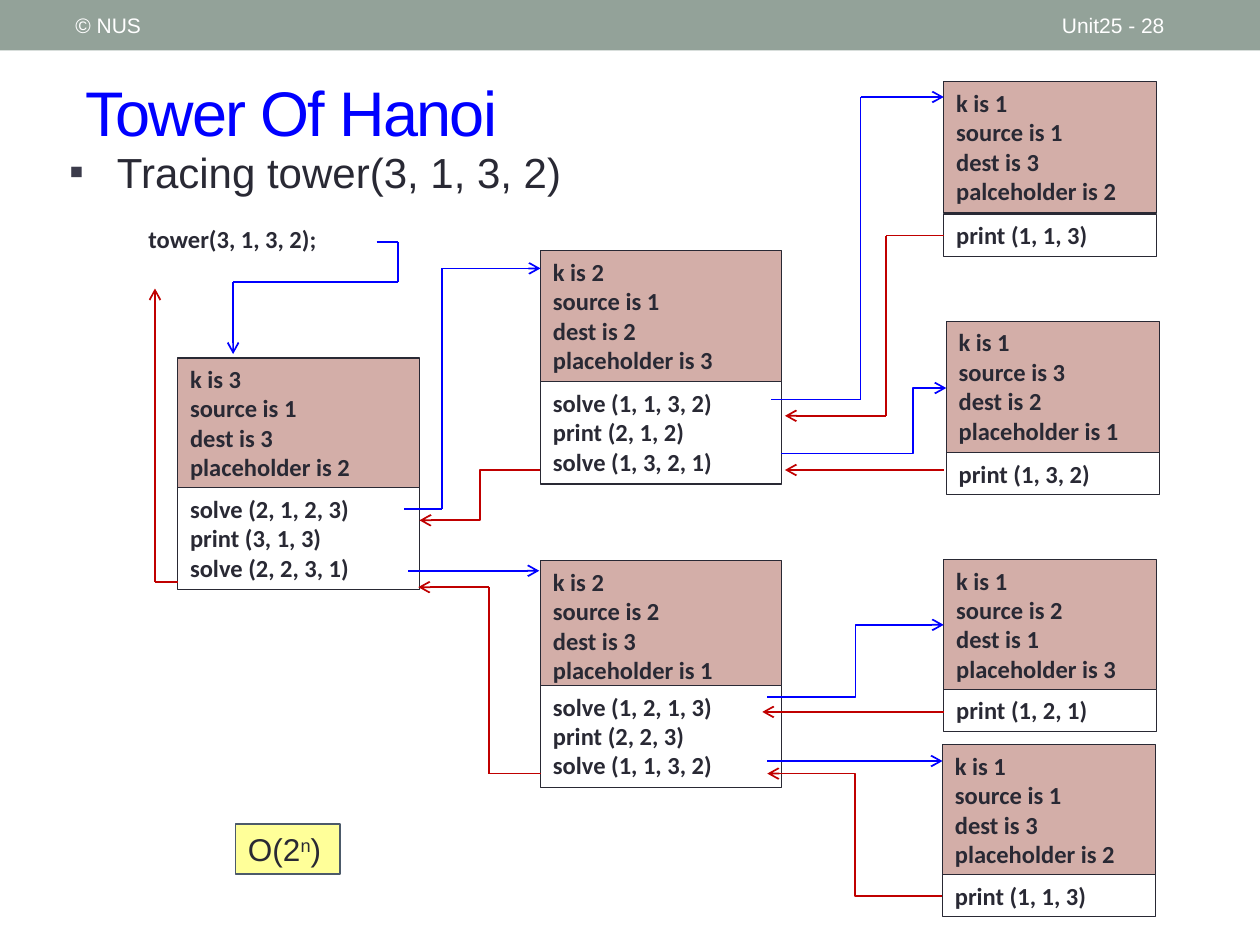
from dataclasses import dataclass
from itertools import pairwise

from lxml.etree import SubElement
from pptx import Presentation
from pptx.dml.color import RGBColor
from pptx.enum.shapes import MSO_CONNECTOR, MSO_SHAPE
from pptx.enum.text import MSO_ANCHOR, PP_ALIGN
from pptx.oxml.ns import qn
from pptx.util import Inches, Pt

# Grid: 100 columns by 75 rows of square cells
deck = Presentation()
deck.slide_width, deck.slide_height = Inches(10), Inches(7.5)
CELL = deck.slide_width / 100

INK, WHITE, ROSE = "292934", "FFFFFF", "D3AEA8"
CALL, RETURN = "0000FF", "C00000"
Point = tuple[float, float]


@dataclass
class Frame:
    """One activation of tower: its arguments above, its statements below."""
    left: float
    top: float
    width: float
    height: float
    split: float
    values: tuple[int, int, int, int]
    statements: list[str]
    last_label: str = "placeholder"


@dataclass
class Route:
    """Straight segments through the points, with an arrowhead at the end."""
    colour: str
    points: list[Point]


@dataclass
class Elbow:
    """A bent connector whose turn lies at a share of its width."""
    colour: str
    start: Point
    end: Point
    turn: float = 0.5


def cells(*lengths: float) -> list[int]:
    return [round(length * CELL) for length in lengths]


def rgb(colour: str) -> RGBColor:
    return RGBColor.from_string(colour)


def add_span(para, text: str, *, size=14, font="Calibri", colour=INK,
             bold=False, raised=0, spacing=0):
    span = para.add_run()
    span.text = text
    span.font.size, span.font.name, span.font.bold = Pt(size), font, bold
    span.font.color.rgb = rgb(colour)
    properties = span._r.get_or_add_rPr()
    if raised:
        properties.set("baseline", str(raised * 1000))
    if spacing:
        properties.set("spc", str(spacing * 100))


def write(box, lines: list[str], *, anchor=MSO_ANCHOR.TOP, **style):
    frame = box.text_frame
    frame.word_wrap = True
    frame.vertical_anchor = anchor
    for index, line in enumerate(lines):
        para = frame.add_paragraph() if index else frame.paragraphs[0]
        para.alignment = PP_ALIGN.LEFT
        add_span(para, line, **style)


def add_text(slide, place: tuple, text: str, **style):
    box = slide.shapes.add_textbox(*cells(*place))
    write(box, [text], **style)
    return box


def add_box(slide, place: tuple, fill: str, line="", weight=0.75):
    box = slide.shapes.add_shape(MSO_SHAPE.RECTANGLE, *cells(*place))
    box.shadow.inherit = False
    box.fill.solid()
    box.fill.fore_color.rgb = rgb(fill)
    if line:
        box.line.color.rgb = rgb(line)
        box.line.width = Pt(weight)
    else:
        box.line.fill.background()
    return box


def add_frame(slide, frame: Frame):
    labels = ("k", "source", "dest", frame.last_label)
    state = [f"{label} is {value}" for label, value in zip(labels, frame.values)]
    upper = (frame.left, frame.top, frame.width, frame.height)
    lower = (frame.left, frame.top + frame.split, frame.width,
             1 + 2.37 * len(frame.statements))
    for place, fill, lines in ((upper, ROSE, state), (lower, WHITE, frame.statements)):
        write(add_box(slide, place, fill, INK), lines, bold=True)


def add_line(slide, kind, start: Point, end: Point, colour: str, arrow: bool):
    line = slide.shapes.add_connector(kind, *cells(*start, *end))
    line.line.color.rgb = rgb(colour)
    line.line.width = Pt(1)
    if arrow:
        SubElement(line.line._get_or_add_ln(), qn("a:tailEnd"), type="arrow")
    SubElement(line._element.spPr, qn("a:effectLst"))
    return line


def add_route(slide, route: Route):
    segments = list(pairwise(route.points))
    for index, (start, end) in enumerate(segments, 1):
        add_line(slide, MSO_CONNECTOR.STRAIGHT, start, end, route.colour,
                 index == len(segments))


def add_elbow(slide, elbow: Elbow):
    line = add_line(slide, MSO_CONNECTOR.ELBOW, elbow.start, elbow.end,
                    elbow.colour, True)
    guides = line._element.spPr.find(qn("a:prstGeom")).get_or_add_avLst()
    SubElement(guides, qn("a:gd"), name="adj1", fmla=f"val {round(elbow.turn * 100000)}")


FRAMES = [
    Frame(14.1, 28.4, 19.2, 12.8, 10.3, (3, 1, 3, 2),
          ["solve (2, 1, 2, 3)", "print (3, 1, 3)", "solve (2, 2, 3, 1)"]),
    Frame(42.9, 19.9, 19.15, 12.8, 10.4, (2, 1, 2, 3),
          ["solve (1, 1, 3, 2)", "print (2, 1, 2)", "solve (1, 3, 2, 1)"]),
    Frame(42.9, 44.5, 19.15, 12.8, 9.9, (2, 2, 3, 1),
          ["solve (1, 2, 1, 3)", "print (2, 2, 3)", "solve (1, 1, 3, 2)"]),
    Frame(74.9, 6.5, 16.9, 10.4, 10.5, (1, 1, 3, 2), ["print (1, 1, 3)"], "palceholder"),
    Frame(75.1, 25.5, 16.9, 10.4, 10.4, (1, 3, 2, 1), ["print (1, 3, 2)"]),
    Frame(74.9, 44.4, 16.9, 10.4, 10.3, (1, 2, 1, 3), ["print (1, 2, 1)"]),
    Frame(74.8, 59.1, 16.9, 10.4, 10.3, (1, 1, 3, 2), ["print (1, 1, 3)"]),
]
ROUTES = [
    Route(CALL, [(29.9, 19.2), (31.6, 19.2), (31.6, 22.4), (18.5, 22.4), (18.5, 28.1)]),
    Route(CALL, [(32.1, 40.4), (35.1, 40.4), (35.1, 21.3), (42.9, 21.3)]),
    Route(CALL, [(32.4, 45.3), (42.8, 45.3)]),
    Route(CALL, [(61.2, 31.7), (68.3, 31.7), (68.3, 7.7), (74.9, 7.7)]),
    Route(RETURN, [(74.9, 18.7), (70.3, 18.7), (70.3, 33), (62.3, 33)]),
    Route(RETURN, [(74.9, 37.3), (62.3, 37.3)]),
    Route(RETURN, [(74.9, 56.5), (60.5, 56.5)]),
    Route(CALL, [(60.9, 60.4), (74.8, 60.4)]),
    Route(RETURN, [(42.9, 61.4), (38.8, 61.4), (38.8, 46.6), (33.2, 46.6)]),
    Route(RETURN, [(14.1, 46.2), (12.3, 46.2), (12.3, 22.9)]),
]
ELBOWS = [
    Elbow(CALL, (62, 36), (75.1, 30.8), 0.8),
    Elbow(RETURN, (42.9, 37.3), (33.3, 41.3)),
    Elbow(CALL, (60.9, 55.3), (74.9, 49.6)),
    Elbow(RETURN, (74.8, 71.1), (60.9, 61.4)),
]

# Header bar and title
slide = deck.slides.add_slide(deck.slide_layouts[5])
add_box(slide, (0, 0, 100, 4), "93A299")
title = slide.shapes.title
title.left, title.top, title.width, title.height = cells(5.8, 4.2, 91.7, 9.2)
write(title, ["Tower Of Hanoi"], anchor=MSO_ANCHOR.MIDDLE, size=36, font="Arial",
      colour=CALL, spacing=-1)
for place, text in (((83.3, 0.2, 11.7, 3.6), "Unit25 - 28"),
                    ((5, 0.2, 31.7, 3.6), "© NUS")):
    add_text(slide, place, text, anchor=MSO_ANCHOR.MIDDLE, size=12, font="Arial",
             colour=WHITE)

# Bulleted heading and first call
heading = add_text(slide, (4.5, 11.1, 52.5, 6.3), "Tracing tower(3, 1, 3, 2)",
                   size=24, font="Arial")
bullet = heading.text_frame.paragraphs[0]._p.get_or_add_pPr()
bullet.set("marL", str(Inches(0.38)))
bullet.set("indent", str(-Inches(0.38)))
SubElement(SubElement(bullet, qn("a:buClr")), qn("a:srgbClr"), val="3B3B4B")
SubElement(bullet, qn("a:buFont"), typeface="Arial")
SubElement(bullet, qn("a:buChar"), char="▪")
add_text(slide, (10.8, 17.3, 19.7, 3.4), "tower(3, 1, 3, 2);", bold=True)

# Call tree
for frame in FRAMES:
    add_frame(slide, frame)
for route in ROUTES:
    add_route(slide, route)
for elbow in ELBOWS:
    add_elbow(slide, elbow)

# Complexity
cost = add_box(slide, (18.7, 65.4, 8.3, 4), "FFFF99", "4C5A6A", 1)
write(cost, ["O(2"], size=18, font="Arial")
cost_para = cost.text_frame.paragraphs[0]
add_span(cost_para, "n", size=18, font="Arial", raised=30)
add_span(cost_para, ")", size=18, font="Arial")

deck.save("out.pptx")
